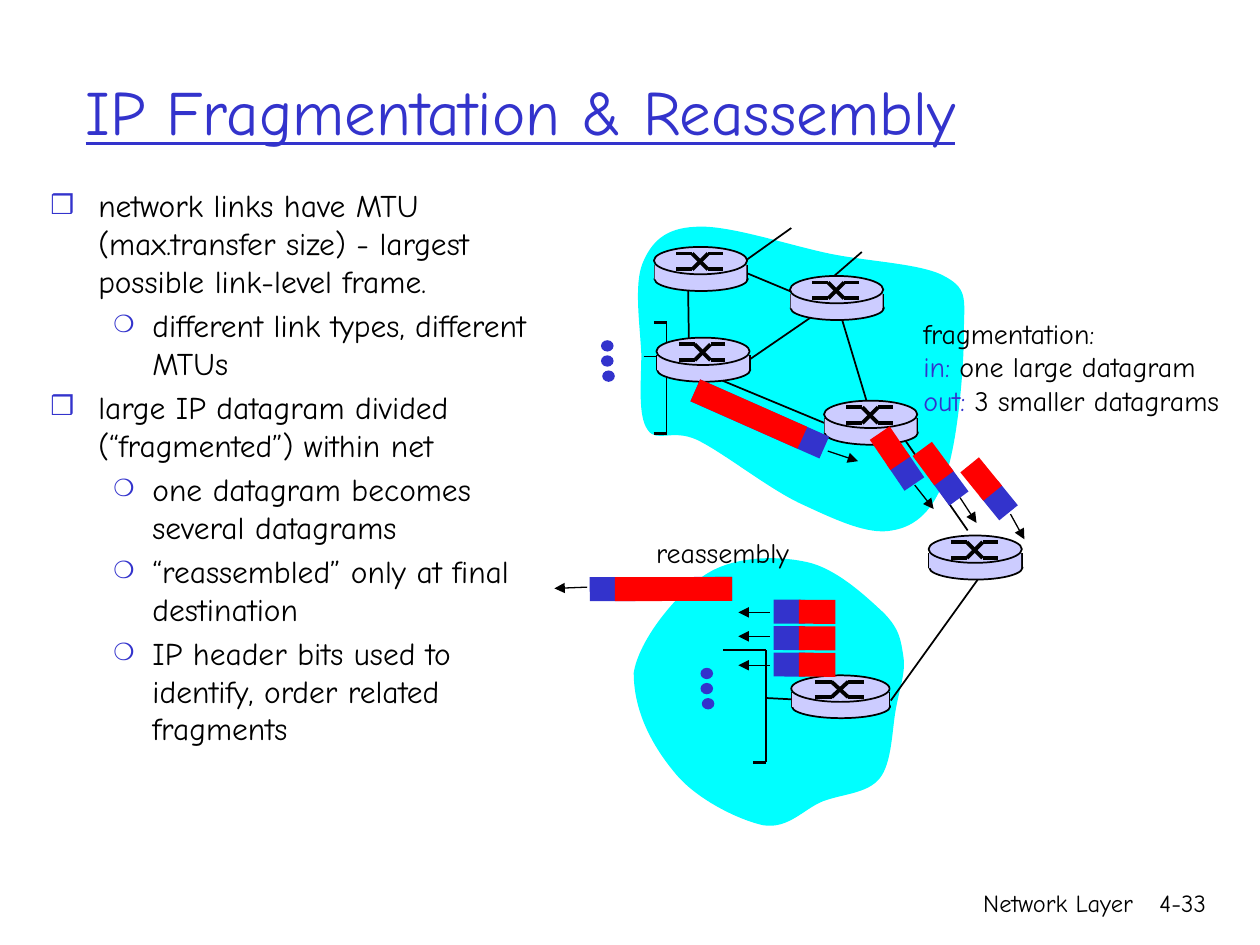
from itertools import pairwise
from math import cos, radians, sin

from lxml import etree
from pptx import Presentation
from pptx import util as u
from pptx.dml.color import RGBColor
from pptx.enum import shapes as es, text as et
from pptx.oxml.ns import qn

BLUE = RGBColor(0x33, 0x33, 0xCC)
RED = RGBColor(0xFF, 0, 0)
CYAN = RGBColor(0, 0xFF, 0xFF)
LILAC = RGBColor(0xCC, 0xCC, 0xFF)
BLACK = RGBColor(0, 0, 0)
FONT = "Comic Neue"

prs = Presentation()
prs.slide_width, prs.slide_height = u.Inches(10), u.Inches(7.5)
COL, ROW = prs.slide_width / 100, prs.slide_height / 75
OVAL, RECT = es.MSO_SHAPE.OVAL, es.MSO_SHAPE.RECTANGLE


def cells(*values):
    return [round(v * (ROW if i % 2 else COL)) for i, v in enumerate(values)]


def style(target, **fmt):
    for name, value in fmt.items():
        if name == "color":
            target.color.rgb = value
        else:
            setattr(target, name, value)


def paint(sp, fill, outline=None):
    sp.shadow.inherit = False
    sp.fill.solid()
    sp.fill.fore_color.rgb = fill
    if outline:
        style(sp.line, color=BLACK, width=u.Pt(outline))
    else:
        sp.line.fill.background()


def shape(shapes, kind, x, y, w, h, fill, outline=None, angle=0):
    sp = shapes.add_shape(kind, *cells(x, y, w, h))
    paint(sp, fill, outline)
    sp.rotation = angle


def line(shapes, origin, start, end, width=1, arrow=False):
    ends = [o + d for point in (start, end) for o, d in zip(origin, point)]
    c = shapes.add_connector(es.MSO_CONNECTOR.STRAIGHT, *cells(*ends))
    style(c.line, color=BLACK, width=u.Pt(width))
    if arrow:
        ln = c.line._get_or_add_ln()
        etree.SubElement(ln, qn("a:tailEnd"), type="triangle")
    etree.SubElement(c._element.spPr, qn("a:effectLst"))


def cloud(shapes, origin, start, curves):
    def spot(px, py):
        return cells(origin[0] + px, origin[1] + py)

    fb = shapes.build_freeform(*spot(*start))
    fb.add_line_segments([spot(*curve[4:]) for curve in curves])
    sp = fb.convert_to_shape()
    paint(sp, CYAN)
    for segment, curve in zip(list(sp._element.iter(qn("a:lnTo"))), curves):
        bezier = etree.Element(qn("a:cubicBezTo"))
        for px, py in zip(curve[::2], curve[1::2]):
            x, y = spot(px, py)
            etree.SubElement(bezier, qn("a:pt"), x=str(x - sp.left), y=str(y - sp.top))
        segment.getparent().replace(segment, bezier)


def router(shapes, x, y, w=7.4, h=3.5):
    g = shapes.add_group_shape().shapes
    shape(g, OVAL, x + 0.05, y + 0.46 * h, w, 0.54 * h, LILAC, 1)
    for side in (0.05, w):
        line(g, (x, y), (side, 0.4 * h), (side, 0.74 * h))
    shape(g, RECT, x + 0.05, y + 0.4 * h, w - 0.1, 0.34 * h, LILAC)
    shape(g, OVAL, x, y, w, 0.62 * h, LILAC, 1)
    for near, far in ((0.15, 0.51), (0.51, 0.15)):
        trace = (0.24, near), (0.41, near), (0.58, far), (0.74, far)
        for a, b in pairwise((px * w, py * h) for px, py in trace):
            line(g, (x, y), a, b, 2.25)


def packet(shapes, cx, cy, angle, length=4.9, header=2.5, data=2.9):
    g = shapes.add_group_shape().shapes
    for size, side, fill in ((header, 1, BLUE), (data, -1, RED)):
        shift = side * (length - size) / 2
        x, y = cx + shift * cos(radians(angle)), cy + shift * sin(radians(angle))
        shape(g, RECT, x - size / 2, y - 0.95, size, 1.9, fill, angle=angle)


def dots(shapes, x, y):
    g = shapes.add_group_shape().shapes
    for i, shift in enumerate((0, 0, 0.1)):
        shape(g, OVAL, x + shift, y + 1.2 * i, 1, 0.9, BLUE)


def bracket(shapes, x, y, h, top, bottom):
    line(shapes, (x, y), (-top, 0), (0, 0), 1.5)
    line(shapes, (x, y), (-bottom, h), (0, h), 1.5)
    line(shapes, (x, y), (0, 0), (0, h))


def label(shapes, x, y, w, h, lines, size=16, wrap=False, align=et.PP_ALIGN.LEFT):
    tf = shapes.add_textbox(*cells(x, y, w, h)).text_frame
    tf.word_wrap = wrap
    for i, runs in enumerate(lines):
        p = tf.paragraphs[0] if i == 0 else tf.add_paragraph()
        p.alignment = align
        for words, color in runs:
            r = p.add_run()
            r.text = words
            style(r.font, name=FONT, size=u.Pt(size), color=color)


def place(sp, x, y, w, h):
    sp.left, sp.top, sp.width, sp.height = cells(x, y, w, h)
    style(sp.text_frame, word_wrap=True, auto_size=et.MSO_AUTO_SIZE.NONE)


def heading(sp, box, words):
    place(sp, *box)
    tf = sp.text_frame
    tf.text = words
    tf.vertical_anchor = et.MSO_ANCHOR.MIDDLE
    p = tf.paragraphs[0]
    p.alignment = et.PP_ALIGN.LEFT
    style(p.runs[0].font, name=FONT, size=u.Pt(36), underline=True, color=BLUE)


def bullets(sp, box, items):
    place(sp, *box)
    tf = sp.text_frame
    tf.vertical_anchor = et.MSO_ANCHOR.TOP
    marks = (("❒", 85, 0.38, 0.38), ("❍", 75, 0.81, 0.31))
    for i, (level, words) in enumerate(items):
        p = tf.paragraphs[0] if i == 0 else tf.add_paragraph()
        mark, percent, margin, hang = marks[level]
        style(p, level=level, space_before=u.Pt(3.6 if i else 0))
        pPr = p._p.get_or_add_pPr()
        pPr.set("marL", str(u.Inches(margin)))
        pPr.set("indent", str(-u.Inches(hang)))
        clr = etree.SubElement(pPr, qn("a:buClr"))
        etree.SubElement(clr, qn("a:srgbClr"), val=str(BLUE))
        etree.SubElement(pPr, qn("a:buSzPct"), val=str(percent * 1000))
        etree.SubElement(pPr, qn("a:buFont"), typeface=FONT)
        etree.SubElement(pPr, qn("a:buChar"), char=mark)
        r = p.add_run()
        r.text = words
        style(r.font, name=FONT, size=u.Pt(18), color=BLACK)


def fragmentation(shapes, x, y):
    o = x, y
    cloud(shapes, o, (15.2, 1), (
        (12.8, 1.1, 11.7, 2.2, 11, 3.9), (10.3, 5.6, 10.8, 8.9, 10.9, 11.1),
        (10.9, 13.3, 10.6, 16, 11.4, 17.1), (12.1, 18.2, 13.3, 17, 15.3, 17.9),
        (17.4, 18.9, 21, 21.8, 23.6, 23), (26.2, 24.2, 28.9, 25.5, 30.8, 25.1),
        (32.7, 24.8, 34.1, 23.5, 35, 20.9), (36, 18.3, 36.5, 12.2, 36.5, 9.6),
        (36.5, 6.9, 36.9, 6, 35.1, 5), (33.3, 3.9, 29, 3.8, 25.7, 3.1),
        (22.4, 2.4, 17.7, 0.8, 15.2, 1)))
    bracket(shapes, x + 12.9, y + 8.6, 8.8, 1, 1)
    dots(shapes, x + 7.7, y + 10)
    for a, b in (((11.1, 11.3), (12.5, 11.3)), ((17.4, 3.9), (24.6, 6.9)),
                 ((26.6, 7.6), (28.8, 14.9)), ((14.6, 5.1), (14.7, 11.5)),
                 ((14.9, 12.2), (25.5, 16.6)), ((36.8, 25.1), (31.6, 17.6)),
                 ((25.8, 7.2), (17.5, 12.9)), ((22.8, 1.1), (17.6, 4.8)),
                 ((28.4, 3), (25.4, 5.6))):
        line(shapes, o, a, b)
    for rx, ry in ((11.9, 2.6), (12.1, 9.8), (22.7, 4.9), (25.4, 14.8), (33.7, 25.5)):
        router(shapes, x + rx, y + ry)
    packet(shapes, x + 20.3, y + 16.25, 23.9, 11.2, 11.2, 9.3)
    for px, py, angle in ((31.2, 19.4, 55.8), (34.65, 20.6, 53.6), (38.5, 21.8, 50.9)):
        packet(shapes, x + px, y + py, angle)
    for a, b in (((25.7, 18.8), (28.1, 19.6)), ((32.6, 21.5), (34.1, 23.4)),
                 ((36.2, 22.5), (37.5, 24.5)), ((40.2, 23.8), (41.3, 25.8))):
        line(shapes, o, a, b, 0.75, True)
    label(shapes, x + 32.3, y + 7.6, 27.7, 9, (
        [("fragmentation:", BLACK)],
        [("in:", BLUE), (" one large datagram", BLACK)],
        [("out:", BLUE), (" 3 smaller datagrams", BLACK)]))


def reassembly(shapes, x, y):
    o = x, y
    cloud(shapes, o, (10.3, 12.4), (
        (10.7, 9.8, 13.7, 6.1, 16, 4.6), (18.3, 3.1, 21.7, 3.1, 24, 3.6),
        (26.4, 4.1, 28.8, 6.4, 30.1, 7.6), (31.4, 8.9, 31.5, 9.8, 31.7, 11.1),
        (31.9, 12.4, 31.4, 13.6, 31.1, 15.3), (30.8, 16.9, 30.8, 19.6, 29.8, 20.8),
        (28.8, 22, 26.9, 22, 25.3, 22.6), (23.8, 23.2, 22.6, 24.8, 20.6, 24.5),
        (18.7, 24.1, 15.4, 22.5, 13.7, 20.5), (12, 18.5, 10.3, 15.7, 10.3, 12.4)))
    router(shapes, x + 22.8, y + 12.6, 7.8, 3.4)
    bracket(shapes, x + 20.8, y + 10.6, 8.9, 3.4, 1)
    dots(shapes, x + 15.6, y + 12)
    line(shapes, o, (20.8, 14.4), (22.8, 14.5))
    line(shapes, o, (37.6, 5), (30.7, 14.6))
    for row, tail in ((7.55, 7.6), (9.65, 9.5), (11.75, 11.8)):
        packet(shapes, x + 23.85, y + row, 180.4)
        line(shapes, o, (21.1, tail), (18.6, tail), 0.75, True)
    packet(shapes, x + 12.45, y + 5.75, 179.9, 11.3, 11.3, 9.3)
    line(shapes, o, (6.6, 5.6), (4, 5.7), 0.75, True)
    label(shapes, x + 11.1, y + 1, 13.6, 3.7, [[("reassembly", BLACK)]])


s = prs.slides.add_slide(prs.slide_layouts[1])
for box, words in (((59.2, 70, 31.7, 5), "Network Layer"), ((89.3, 70, 7.4, 5), "4-33")):
    label(s.shapes, *box, [[(words, BLACK)]], 14, True, et.PP_ALIGN.RIGHT)
heading(s.shapes.title, (5.8, 2.5, 85, 12.5), "IP Fragmentation & Reassembly")
bullets(s.placeholders[1], (3, 14.3, 41.7, 50.8), (
    (0, "network links have MTU (max.transfer size) - largest possible link-level frame."),
    (1, "different link types, different MTUs"),
    (0, "large IP datagram divided (“fragmented”) within net"),
    (1, "one datagram becomes several datagrams"),
    (1, "“reassembled” only at final destination"),
    (1, "IP header bits used to identify, order related fragments")))
fragmentation(s.shapes, 40, 17)
reassembly(s.shapes, 40, 41)
prs.save("out.pptx")
